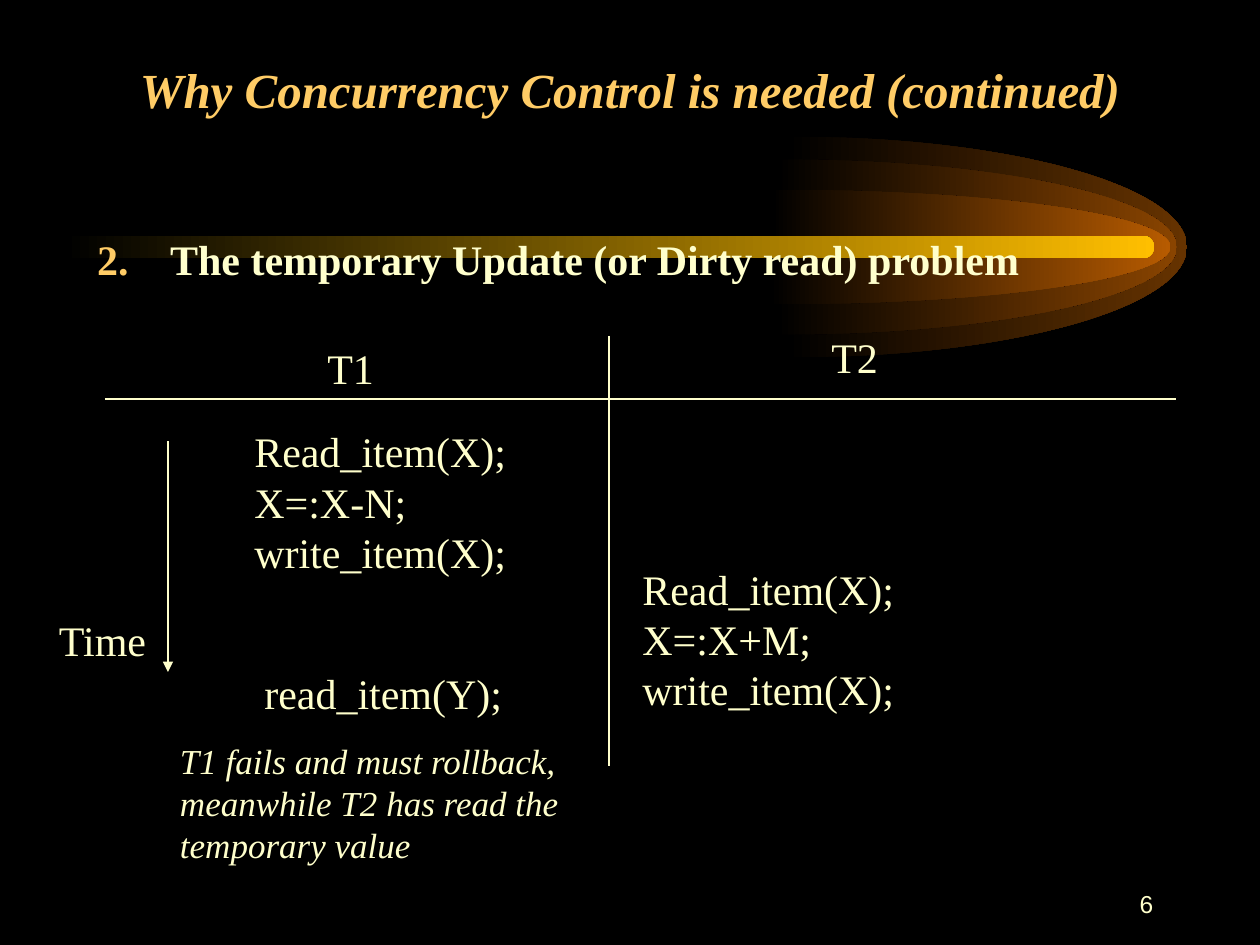
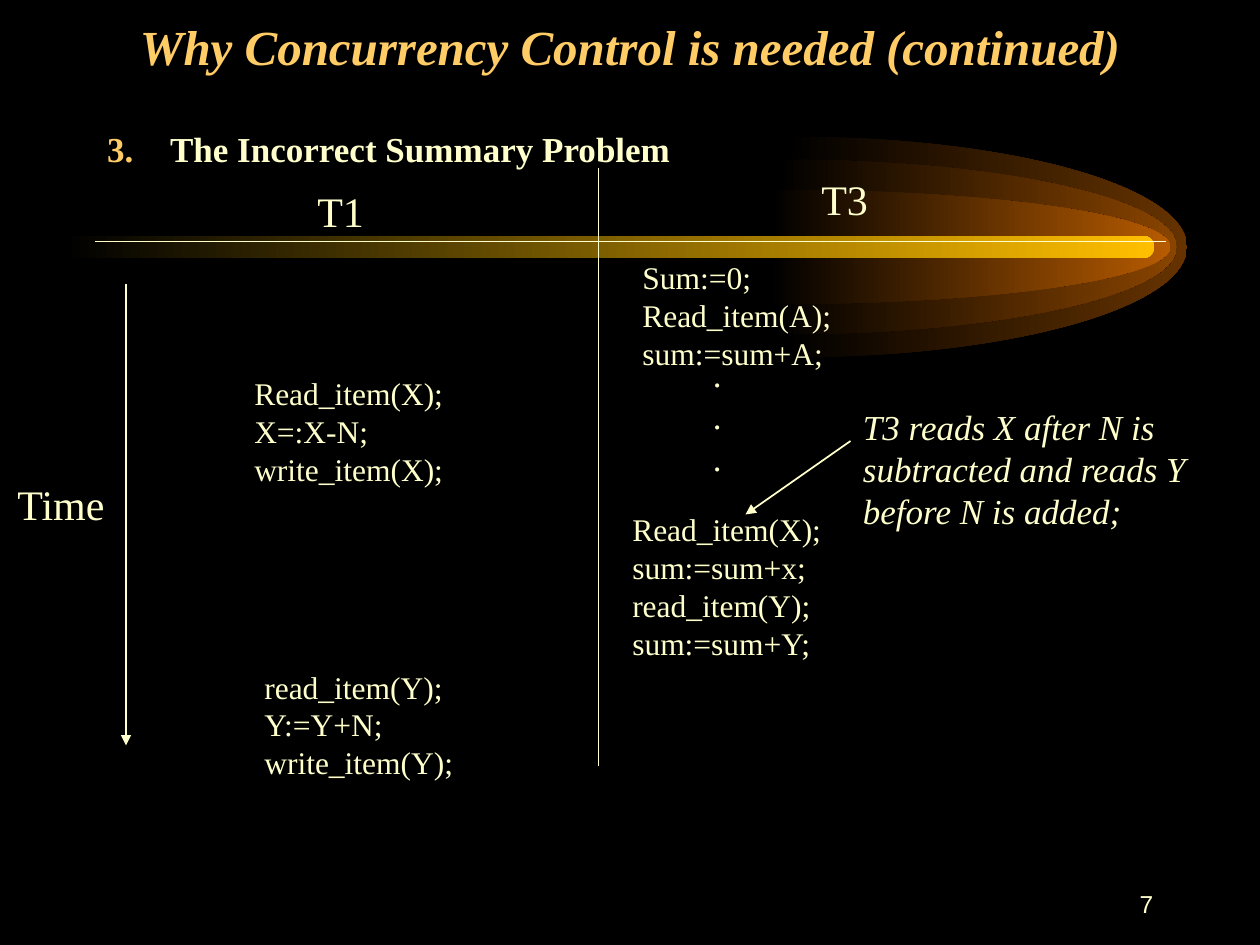
from dataclasses import dataclass

from lxml.etree import SubElement as Sub
from pptx import Presentation
from pptx.dml.color import RGBColor as Rgb
from pptx.enum.shapes import MSO_CONNECTOR as Link, MSO_SHAPE as Kind
from pptx.enum.text import MSO_ANCHOR as Anchor, MSO_AUTO_SIZE as Fit, PP_ALIGN as Align
from pptx.oxml.ns import qn
from pptx.util import Inches, Pt


@dataclass(frozen=True)
class Theme:
    back: str = "000000"
    text: str = "FFFFCC"
    gold: str = "FFCC66"
    bar: str = "FFBF00"
    serif: str = "Times New Roman"
    sans: str = "Arial"
    title: int = 28
    large: int = 24
    note: int = 20
    small: int = 18
    page: int = 14


THEME = Theme()
TITLE = "Why Concurrency Control is needed (continued)"
# Glow layers: left of the arc, height, colour
GLOW = [(6.29, 1.75, "663300"), (6.21, 1.39, "894400"), (6.16, 0.91, "B75B00")]
MID, REACH, TAIL = 1.96, 3.13, 0.05
ROUND = 0.55  # handle length of a quarter ellipse


def color(code):
    return Rgb.from_string(code)


def style(para, size, tint=THEME.text, name=THEME.serif, bold=False, italic=False):
    font = para.font
    font.name, font.size = name, Pt(size)
    font.bold, font.italic = bold, italic
    font.color.rgb = color(tint)


def place(shape, left, top, width, height):
    shape.left, shape.top = Inches(left), Inches(top)
    shape.width, shape.height = Inches(width), Inches(height)


# Backdrop
def fade(shape, code):
    shape.shadow.inherit = False
    shape.line.fill.background()
    shape.fill.gradient()
    shape.fill.gradient_angle = 0
    for stop, tint in zip(shape.fill.gradient_stops, (THEME.back, code)):
        stop.color.rgb = color(tint)


def bend(leg, *dots):
    """Turn a straight leg of an outline into a curve through handles."""
    leg.tag = qn("a:cubicBezTo")
    leg.remove(leg[0])
    for x, y in dots:
        Sub(leg, qn("a:pt"), x=str(Inches(x)), y=str(Inches(y)))


def arc(slide, left, height, code):
    half, tip = height / 2, TAIL + REACH
    dots = [(left + REACH, MID), (left, MID + half),
            (left - TAIL, MID + half), (left, MID)]
    pen = slide.shapes.build_freeform(Inches(left), Inches(MID - half))
    pen.add_line_segments([(Inches(x), Inches(y)) for x, y in dots], close=True)
    shape = pen.convert_to_shape()
    upper, lower = list(shape._element.iter(qn("a:lnTo")))[:2]
    far, pull = TAIL + REACH * ROUND, half * ROUND
    bend(upper, (far, 0), (tip, half - pull), (tip, half))
    bend(lower, (tip, half + pull), (far, height), (TAIL, height))
    fade(shape, code)


def glow(slide):
    for layer in GLOW:
        arc(slide, *layer)
    bar = slide.shapes.add_shape(Kind.ROUNDED_RECTANGLE, Inches(0.5), Inches(1.87),
                                 Inches(8.66), Inches(0.18))
    bar.adjustments[0] = 0.5
    fade(bar, THEME.bar)


# Text
def write(slide, left, top, width, height, lines, size, wrap=True, **look):
    box = slide.shapes.add_textbox(*map(Inches, (left, top, width, height)))
    frame = box.text_frame
    frame.word_wrap = wrap
    frame.text = "\n".join(lines)
    for para in frame.paragraphs:
        style(para, size, **look)
    return box


def label(slide, left, top, text, width=0.57):
    write(slide, left, top, width, 0.5, [text], THEME.large, wrap=False)


def note(slide, left, top, text):
    write(slide, left, top, 3.25, 1.1, [text], THEME.note, italic=True)


def number(para, start, indent, hang):
    props = para._p.get_or_add_pPr()
    props.set("marL", str(Inches(indent)))
    props.set("indent", str(-Inches(hang)))
    tint = Sub(props, qn("a:buClr"))
    Sub(tint, qn("a:srgbClr"), val=THEME.gold)
    Sub(props, qn("a:buFont"), typeface=THEME.serif)
    Sub(props, qn("a:buAutoNum"), type="arabicPeriod", startAt=str(start))


def head(slide, text, spot, start, size, indent, hang, pitch):
    body = slide.placeholders[1]
    place(body, *spot)
    frame = body.text_frame
    frame.auto_size = Fit.NONE
    frame.text = text
    para = frame.paragraphs[0]
    para.level = 1
    number(para, start, indent, hang)
    para.space_before = Pt(0)
    para.line_spacing = pitch
    style(para, size, bold=True)


# Lines
def snap(value):
    """Lines sit on a grid of twelfths of an inch."""
    return Inches(round(value * 12) / 12)


def line(slide, x1, y1, x2, y2, arrow=False):
    link = slide.shapes.add_connector(Link.STRAIGHT, *map(snap, (x1, y1, x2, y2)))
    link.line.color.rgb = color(THEME.text)
    link.line.width = Pt(1)
    if arrow:
        Sub(link.line._get_or_add_ln(), qn("a:tailEnd"), type="triangle")
    Sub(link._element.spPr, qn("a:effectLst"))


def grid(slide, left, rule, split, top, names):
    """Two-column schedule: a rule, a divider and a name over each column."""
    line(slide, left, rule, left + 8.5, rule)
    line(slide, split, top, split, 6.08)
    label(slide, split - 2.33, rule - 0.5, names[0])
    label(slide, split + 1.67, rule - 0.59, names[1])


def clock(slide, left, top, end, word):
    line(slide, left, top, left, end, arrow=True)
    label(slide, left - 0.96, word, "Time", 0.9)


# Shared slide frame
def start(deck, page, top, height):
    slide = deck.slides.add_slide(deck.slide_layouts[1])
    glow(slide)
    for holder in list(slide.placeholders):  # bring text in front of the glow
        item = holder._element
        item.getparent().append(item)
    title = slide.shapes.title
    place(title, 0.75, top, 8.5, height)
    frame = title.text_frame
    frame.auto_size = Fit.NONE
    frame.vertical_anchor = Anchor.BOTTOM
    frame.text = TITLE
    para = frame.paragraphs[0]
    para.alignment = Align.CENTER
    style(para, THEME.title, THEME.gold, bold=True, italic=True)
    box = write(slide, 7.17, 6.92, 2.08, 0.5, [str(page)], THEME.page, name=THEME.sans)
    box.text_frame.vertical_anchor = Anchor.MIDDLE
    box.text_frame.paragraphs[0].alignment = Align.RIGHT
    return slide


def dirty(deck):
    slide = start(deck, 6, 0.41, 0.58)
    head(slide, "The temporary Update (or Dirty read) problem",
         (0.17, 1.8, 9.5, 5.2), 2, THEME.large, 1.08, 0.58, 1.0)
    grid(slide, 0.83, 3.17, 4.83, 2.67, ("T1", "T2"))
    clock(slide, 1.33, 3.5, 5.33, 4.83)
    write(slide, 1.92, 3.33, 2.44, 1.3,
          ["Read_item(X);", "X=:X-N;", "write_item(X);"], THEME.large)
    write(slide, 5, 4.42, 2.5, 1.3,
          ["Read_item(X);", "X=:X+M;", "write_item(X);"], THEME.large)
    write(slide, 2, 5.25, 2.17, 0.5, ["read_item(Y);"], THEME.large)
    note(slide, 1.33, 5.82,
         "T1 fails and must rollback, meanwhile T2 has read the temporary value")


def summary(deck):
    slide = start(deck, 7, 0.17, 0.48)
    head(slide, "The Incorrect Summary Problem",
         (0.25, 1, 9.5, 6.25), 3, THEME.note, 1, 0.5, 0.9)
    grid(slide, 0.75, 1.92, 4.75, 1.33, ("T1", "T3"))
    clock(slide, 1, 2.25, 5.92, 3.75)
    # T1 steps
    write(slide, 1.92, 2.92, 2, 1,
          ["Read_item(X);", "X=:X-N;", "write_item(X);"], THEME.small)
    write(slide, 2, 5.25, 1.83, 1,
          ["read_item(Y);", "Y:=Y+N;", "write_item(Y);"], THEME.small)
    # T3 steps
    write(slide, 5, 2, 2, 1,
          ["Sum:=0;", "Read_item(A);", "sum:=sum+A;"], THEME.small)
    write(slide, 5.56, 2.75, 0.27, 1.1, ["."] * 3, THEME.note, wrap=False)
    write(slide, 4.92, 4, 2.5, 1.3,
          ["Read_item(X);", "sum:=sum+x;", "read_item(Y);", "sum:=sum+Y;"],
          THEME.small)
    note(slide, 6.75, 3.17,
         "T3 reads X after N is subtracted and reads Y before N is added;")
    line(slide, 6.75, 3.5, 5.92, 4.08, arrow=True)


def main():
    deck = Presentation()
    deck.slide_width, deck.slide_height = Inches(10), Inches(7.5)
    fill = deck.slide_master.background.fill
    fill.solid()
    fill.fore_color.rgb = color(THEME.back)
    dirty(deck)
    summary(deck)
    deck.save("out.pptx")


if __name__ == "__main__":
    main()
